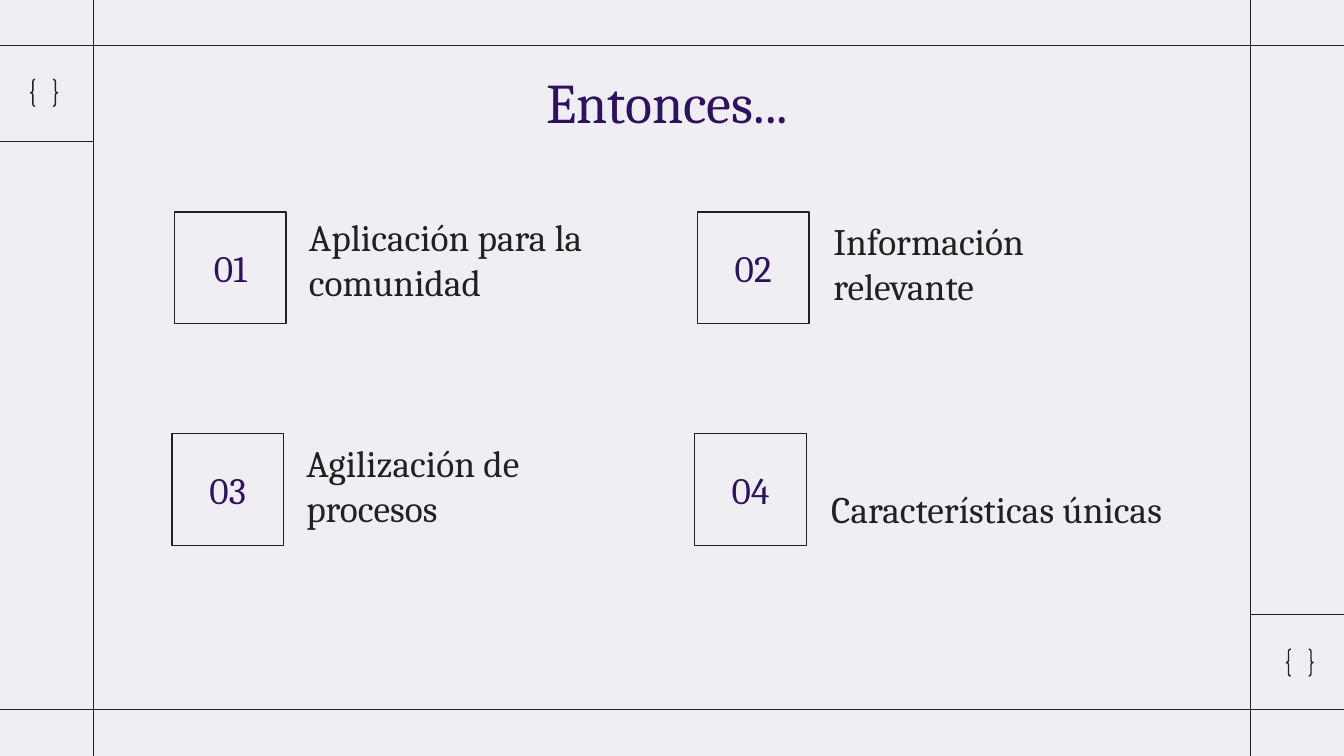
from pptx import Presentation
from pptx.dml.color import RGBColor
from pptx.enum.shapes import MSO_CONNECTOR as LINE, MSO_SHAPE as SHAPE
from pptx.enum.text import MSO_ANCHOR as ANCHOR, MSO_AUTO_SIZE as FIT, PP_ALIGN as ALIGN
from pptx.oxml.ns import qn
from pptx.util import Cm, Pt
from lxml import etree

PAPER = RGBColor(0xEF, 0xEE, 0xF3)
INK = RGBColor(0x22, 0x20, 0x20)
PURPLE = RGBColor(0x2E, 0x12, 0x5F)
FONT = "Cambria"


def write(shape, text, size, color, align, anchor):
    frame = shape.text_frame
    frame.word_wrap = True
    frame.auto_size = FIT.NONE
    frame.vertical_anchor = anchor
    frame.margin_left = frame.margin_right = Cm(0.25)
    frame.margin_top = frame.margin_bottom = Cm(0.25)
    para = frame.paragraphs[0]
    para.text = text
    para.alignment = align
    para.font.name = FONT
    para.font.size = Pt(size)
    para.font.color.rgb = color


def outline(kind, x, y, side):
    shape = slide.shapes.add_shape(kind, Cm(x), Cm(y), Cm(side), Cm(side))
    shape.shadow.inherit = False
    shape.fill.background()
    shape.line.color.rgb = INK
    shape.line.width = Pt(0.75)
    return shape


deck = Presentation()
deck.slide_width, deck.slide_height = Cm(25.4), Cm(14.29)
slide = deck.slides.add_slide(deck.slide_layouts[5])
slide.background.fill.solid()
slide.background.fill.fore_color.rgb = PAPER

# Title
title = slide.shapes.title
title.left, title.top, title.width, title.height = Cm(2), Cm(1.02), Cm(21.42), Cm(1.52)
write(title, "Entonces... ", 30, PURPLE, ALIGN.CENTER, ANCHOR.TOP)

# Frame lines
left, right, top, end, low = 1.77, 23.63, 0.86, 13.41, 14.29
rules = [
    (0, top, 25.4, top),
    (0, end, 25.4, end),
    (left, low, left, 0),
    (right, low, right, 0),
    (right, 11.61, 25.4, 11.61),
    (0, 2.67, left, 2.67),
]
for rule in rules:
    line = slide.shapes.add_connector(LINE.STRAIGHT, *map(Cm, rule))
    line.line.color.rgb = INK
    line.line.width = Pt(0.75)
    etree.SubElement(line._element.spPr, qn("a:effectLst"))

# Braces in the corners
for x, y in [(0.58, 1.5), (24.31, 12.27)]:
    outline(SHAPE.DOUBLE_BRACE, x, y, 0.51)

# Numbered points: box left and top, then label left, top and height
points = [
    ("Aplicación para la comunidad", 3.3, 4.01, 5.59, 4.14, 1.85),
    ("Información relevante", 13.18, 4.01, 15.5, 5.05, 1.02),
    ("Agilización de procesos", 3.25, 8.2, 5.54, 9.25, 1.02),
    ("Características únicas", 13.13, 8.2, 15.46, 9.27, 1.02),
]
for num, (text, box_x, box_y, x, y, tall) in enumerate(points, 1):
    box = outline(SHAPE.RECTANGLE, box_x, box_y, 2.11)
    write(box, f"{num:02}", 20, PURPLE, ALIGN.CENTER, ANCHOR.MIDDLE)
    label = slide.shapes.add_textbox(Cm(x), Cm(y), Cm(6.78), Cm(tall))
    write(label, text, 20, INK, ALIGN.LEFT, ANCHOR.BOTTOM)

deck.save("out.pptx")
